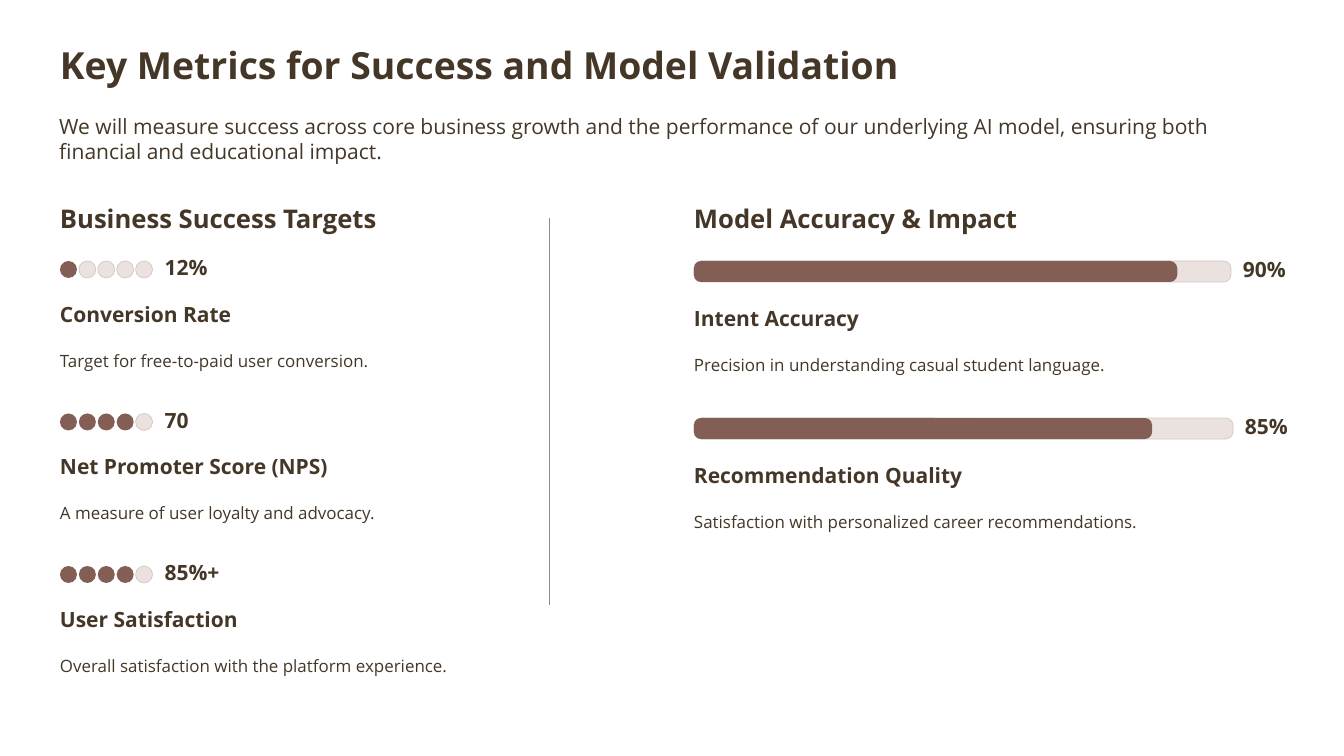
import pptx
import pptx.dml.color
import pptx.enum.shapes
import pptx.enum.text
import pptx.oxml.ns
import pptx.util
from lxml import etree

# Content
TITLE = "Key Metrics for Success and Model Validation"
INTRO = ("We will measure success across core business growth and the performance of our "
         "underlying AI model, ensuring both financial and educational impact.")
BUSINESS_HEADING = "Business Success Targets"
BUSINESS_TARGETS = [  # filled dots, value, name, description
    (1, "12%", "Conversion Rate", "Target for free-to-paid user conversion."),
    (4, "70", "Net Promoter Score (NPS)", "A measure of user loyalty and advocacy."),
    (4, "85%+", "User Satisfaction", "Overall satisfaction with the platform experience."),
]
MODEL_HEADING = "Model Accuracy & Impact"
MODEL_SCORES = [  # share, bar width, value, name, description
    (0.90, 537, "90%", "Intent Accuracy",
     "Precision in understanding casual student language."),
    (0.85, 539, "85%", "Recommendation Quality",
     "Satisfaction with personalized career recommendations."),
]

# Style and layout, lengths in px
FONT = "Open Sans"
INK, BROWN, PALE, EDGE, GRAY = "443728", "835E54", "EBE2E0", "D1C8C6", "8C8C8C"
BUSINESS_LEFT, MODEL_LEFT = 60, 694
HEADING_TOP, METRICS_TOP = 202, 261
TARGET_PITCH, SCORE_PITCH = 152.5, 157
DOT_COUNT, DOT_SIZE, DOT_PITCH = 5, 17, 18.9
BAR_HEIGHT, VALUE_GAP = 21, 12

presentation = pptx.Presentation()
presentation.slide_width = pptx.util.Inches(16)
presentation.slide_height = pptx.util.Inches(9)
slide = presentation.slides.add_slide(presentation.slide_layouts[6])


def px(length):
    return round(length * 914400 / 84)


def color(value):
    return pptx.dml.color.RGBColor.from_string(value)


def add_text(text, left, top, width, height, size=18, bold=True, spacing=None,
             inset=(0, 0), wrap=False):
    box = slide.shapes.add_textbox(px(left), px(top), px(width), px(height))
    frame = box.text_frame
    frame.word_wrap = wrap
    frame.auto_size = pptx.enum.text.MSO_AUTO_SIZE.NONE
    frame.margin_left = frame.margin_right = px(inset[0])
    frame.margin_top = frame.margin_bottom = px(inset[1])
    paragraph = frame.paragraphs[0]
    if spacing:
        paragraph.line_spacing = pptx.util.Pt(spacing)
    run = paragraph.add_run()
    run.text = text
    run.font.name, run.font.size, run.font.bold = FONT, pptx.util.Pt(size), bold
    run.font.color.rgb = color(INK)


def add_pill(left, top, width, height, filled, rounding):
    pill = slide.shapes.add_shape(pptx.enum.shapes.MSO_SHAPE.ROUNDED_RECTANGLE,
                                  px(left), px(top), px(width), px(height))
    pill.adjustments[0] = rounding
    pill.shadow.inherit = False
    pill.fill.solid()
    pill.fill.fore_color.rgb = color(BROWN if filled else PALE)
    if filled:
        pill.line.fill.background()
    else:
        pill.line.color.rgb = color(EDGE)
        pill.line.width = pptx.util.Pt(0.6)


def add_caption(name, description, left, indicator_bottom):
    name_top = indicator_bottom + 22
    add_text(name, left, name_top, 234, 27, spacing=22.5)
    add_text(description, left, name_top + 44, 591, 28, size=14.5, bold=False, spacing=23)


# Title and column headings
add_text(TITLE, BUSINESS_LEFT, 44, 654, 43, size=32, spacing=36.5)
for heading, left in [(BUSINESS_HEADING, BUSINESS_LEFT), (MODEL_HEADING, MODEL_LEFT)]:
    add_text(heading, left, HEADING_TOP, 280, 32, size=22, spacing=27.5)

# Business targets with dot ratings
for row, (filled_dots, value, name, description) in enumerate(BUSINESS_TARGETS):
    top = METRICS_TOP + row * TARGET_PITCH
    for dot in range(DOT_COUNT):
        add_pill(BUSINESS_LEFT + dot * DOT_PITCH, top, DOT_SIZE, DOT_SIZE,
                 dot < filled_dots, 0.5)
    value_left = BUSINESS_LEFT + (DOT_COUNT - 1) * DOT_PITCH + DOT_SIZE + VALUE_GAP
    add_text(value, value_left, top - 2, 50, 21, spacing=18)
    add_caption(name, description, BUSINESS_LEFT, top + DOT_SIZE)

# Model scores with progress bars
for row, (share, bar_width, value, name, description) in enumerate(MODEL_SCORES):
    top = METRICS_TOP + row * SCORE_PITCH
    add_pill(MODEL_LEFT, top, bar_width, BAR_HEIGHT, False, 0.34)
    add_pill(MODEL_LEFT, top, bar_width * share, BAR_HEIGHT, True, 0.34)
    add_text(value, MODEL_LEFT + bar_width + VALUE_GAP, top, 41, 21, spacing=18)
    add_caption(name, description, MODEL_LEFT, top + BAR_HEIGHT)

# Introduction
add_text(INTRO, 51, 109, 1200, 85, bold=False, inset=(8.4, 4.2), wrap=True)

# Column divider
divider = slide.shapes.add_connector(pptx.enum.shapes.MSO_CONNECTOR.STRAIGHT,
                                     px(549), px(218), px(549), px(605))
divider.line.color.rgb = color(GRAY)
divider.line.width = pptx.util.Pt(0.5)
etree.SubElement(divider._element.spPr, pptx.oxml.ns.qn("a:effectLst"))

presentation.save("out.pptx")
